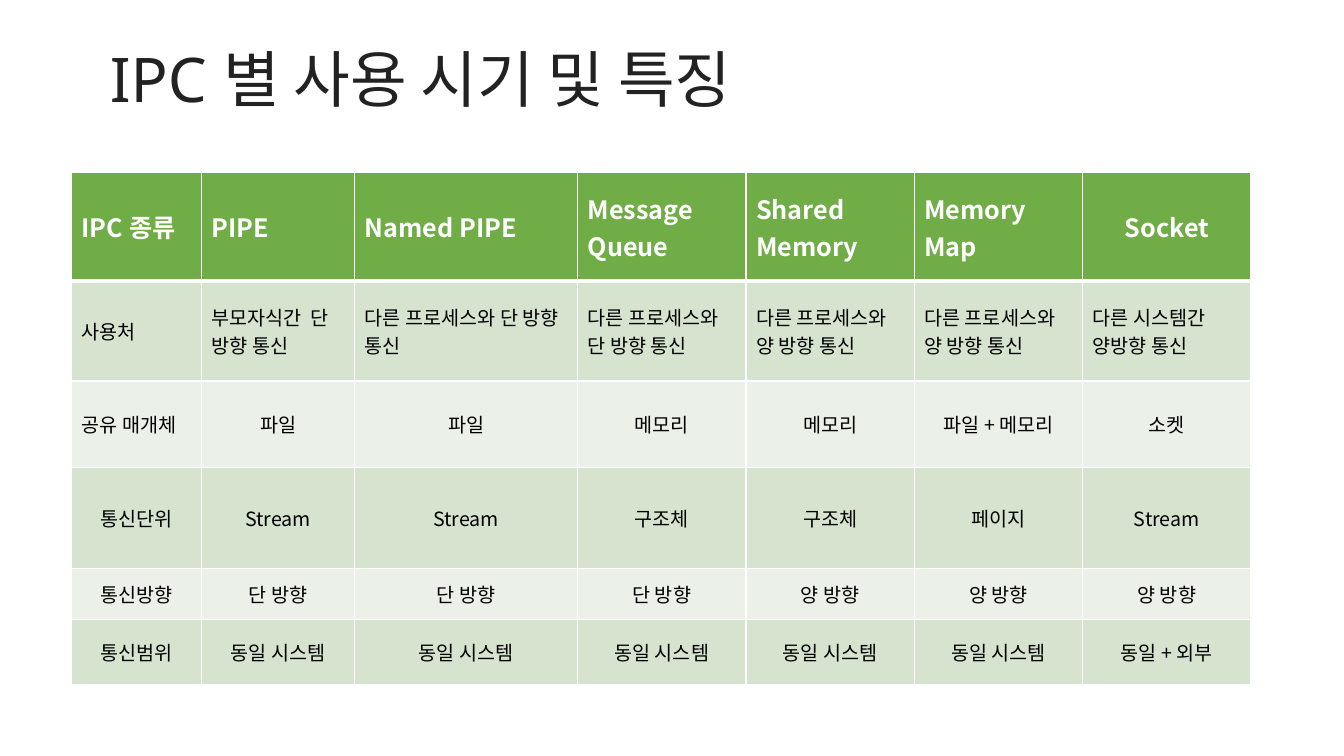
import pptx
import pptx.dml.color
import pptx.enum.text
import pptx.util
from lxml import etree
from pptx.oxml.ns import qn

Inches = pptx.util.Inches
Pt = pptx.util.Pt
Align = pptx.enum.text.PP_ALIGN
Anchor = pptx.enum.text.MSO_ANCHOR

# Content
TITLE = "IPC 별 사용 시기 및 특징"
ROWS = [
    ["IPC 종류", "PIPE", "Named PIPE", "Message Queue", "Shared Memory", "Memory Map", "Socket"],
    ["사용처", "부모자식간  단 방향 통신", "다른 프로세스와 단 방향 통신", "다른 프로세스와 단 방향 통신",
     "다른 프로세스와 양 방향 통신", "다른 프로세스와 양 방향 통신", "다른 시스템간 양방향 통신"],
    ["공유 매개체", "파일", "파일", "메모리", "메모리", "파일 + 메모리", "소켓"],
    ["통신단위", "Stream", "Stream", "구조체", "구조체", "페이지", "Stream"],
    ["통신방향", "단 방향", "단 방향", "단 방향", "양 방향", "양 방향", "양 방향"],
    ["통신범위"] + ["동일 시스템"] * 5 + ["동일 + 외부"],
]
COLUMN_WIDTHS = [1.29, 1.52, 2.21] + [1.67] * 4
ROW_HEIGHTS = [1.08, 0.99, 0.86, 1, 0.51, 0.64]
# Number of left-aligned cells at the start of each row
LEFT_ALIGNED = [6, 7, 1, 0, 0, 0]

KOREAN_FONT = "Noto Sans CJK KR"
HEADER_FILL, BAND_FILLS = "70AD47", ("EBF1E9", "D5E3CF")
WHITE, BLACK, TITLE_COLOR = "FFFFFF", "000000", "222222"


def color(value):
    return pptx.dml.color.RGBColor.from_string(value)


def add_text(para, text, font=KOREAN_FONT, size=14, fill=BLACK, bold=False):
    span = para.add_run()
    span.text = text
    span.font.name = font
    span.font.size = Pt(size)
    span.font.bold = bold
    span.font.color.rgb = color(fill)
    east_asian = etree.SubElement(span.font._element, qn("a:ea"))
    east_asian.set("typeface", KOREAN_FONT)


def set_borders(cell, **widths):
    properties = cell._tc.get_or_add_tcPr()
    for index, (side, width) in enumerate(widths.items()):
        line = etree.Element(qn("a:ln" + side), w=str(Pt(width)))
        fill = etree.SubElement(line, qn("a:solidFill"))
        etree.SubElement(fill, qn("a:srgbClr"), val=WHITE)
        properties.insert(index, line)


deck = pptx.Presentation()
deck.slide_width, deck.slide_height = Inches(13.33), Inches(7.5)
page = deck.slides.add_slide(deck.slide_layouts[5])

# Title
title = page.shapes.title
title.left, title.top = Inches(0.92), Inches(0.4)
title.width, title.height = Inches(11.5), Inches(0.84)
title.text_frame.vertical_anchor = Anchor.MIDDLE
title.text_frame.auto_size = pptx.enum.text.MSO_AUTO_SIZE.NONE
title_para = title.text_frame.paragraphs[0]
title_para.alignment = Align.LEFT
title_para.line_spacing = 0.9
add_text(title_para, " ", font="Arial", size=18, bold=True)
add_text(title_para, TITLE, font="Noto Sans", size=44, fill=TITLE_COLOR)

# Comparison table
table = page.shapes.add_table(
    len(ROWS), len(COLUMN_WIDTHS), Inches(0.71), Inches(1.71),
    Inches(sum(COLUMN_WIDTHS)), Inches(sum(ROW_HEIGHTS))).table
for column, width in zip(table.columns, COLUMN_WIDTHS):
    column.width = Inches(width)
for row, height in zip(table.rows, ROW_HEIGHTS):
    row.height = Inches(height)

for row_index, texts in enumerate(ROWS):
    is_header = row_index == 0
    for column_index, text in enumerate(texts):
        cell = table.cell(row_index, column_index)
        cell.vertical_anchor = Anchor.MIDDLE
        cell.fill.solid()
        cell.fill.fore_color.rgb = color(HEADER_FILL if is_header else BAND_FILLS[row_index % 2])
        set_borders(cell, L=1, R=1, T=3 if row_index == 1 else 1, B=3 if is_header else 1)
        para = cell.text_frame.paragraphs[0]
        para.alignment = Align.LEFT if column_index < LEFT_ALIGNED[row_index] else Align.CENTER
        if is_header:
            add_text(para, text, size=18, fill=WHITE, bold=True)
        else:
            add_text(para, text)

deck.save("out.pptx")
